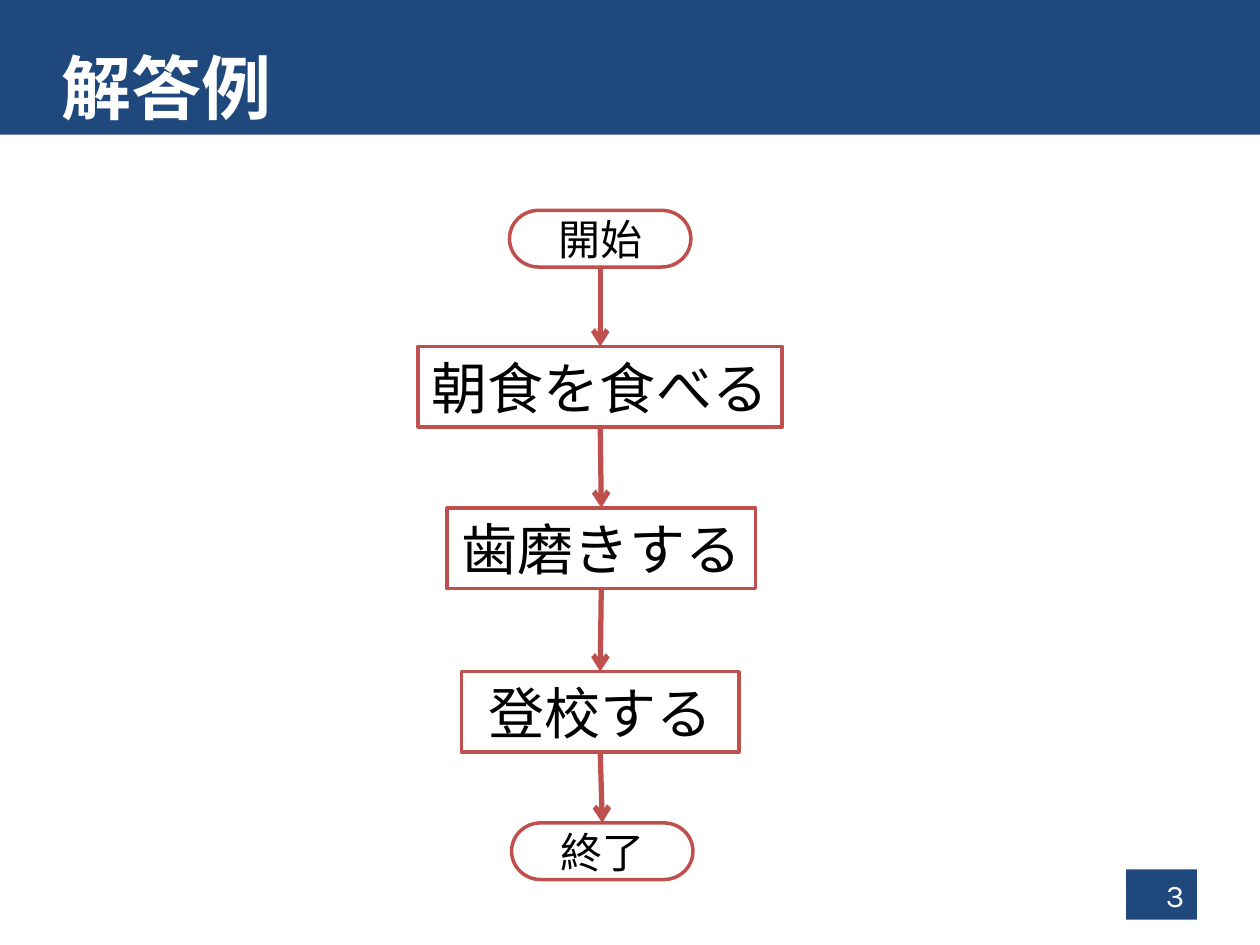
import pptx
import pptx.util
import pptx.dml.color
import pptx.enum.shapes
import pptx.enum.text
import pptx.oxml
import pptx.oxml.ns
from lxml import etree

Pt = pptx.util.Pt
Shape = pptx.enum.shapes.MSO_SHAPE
Align = pptx.enum.text.PP_ALIGN
Anchor = pptx.enum.text.MSO_ANCHOR
COLORS = {"navy": "1F497D", "red": "C0504D", "white": "FFFFFF", "black": "000000"}
FONT = "Karla"
BOTTOM, TOP = 2, 0


def color(name):
    """Return the named colour."""
    return pptx.dml.color.RGBColor.from_string(COLORS[name])


def add_box(page, kind, box, text, size, fill, ink, align, anchor=Anchor.MIDDLE, line=None):
    """Add a filled shape with one line of text."""
    shape = page.shapes.add_shape(kind, *map(Pt, box))
    shape.shadow.inherit = False
    shape.fill.solid()
    shape.fill.fore_color.rgb = color(fill)
    if line:
        shape.line.color.rgb = color(line)
        shape.line.width = Pt(2)
    else:
        shape.line.fill.background()
    frame = shape.text_frame
    frame.text = text
    frame.vertical_anchor = anchor
    para = frame.paragraphs[0]
    para.alignment = align
    font = para.runs[0].font
    font.name = FONT
    font.size = Pt(size)
    font.color.rgb = color(ink)
    return shape


def add_title(page, box, text):
    """Add the title band across the top."""
    band = add_box(page, Shape.RECTANGLE, box, text, 40, "navy", "white",
                   Align.LEFT, Anchor.BOTTOM)
    para = band.text_frame.paragraphs[0]
    para._p.get_or_add_pPr().set("marL", str(Pt(28)))
    para.runs[0].font.bold = True


def add_page_number(page, box, text):
    """Add the page number block."""
    add_box(page, Shape.RECTANGLE, box, text, 18, "navy", "white", Align.RIGHT)


def add_arrow(page, upper, lower):
    """Join the bottom of one step to the top of the next."""
    arrow = page.shapes.add_connector(pptx.enum.shapes.MSO_CONNECTOR.STRAIGHT, 0, 0, 0, 0)
    arrow.begin_connect(upper, BOTTOM)
    arrow.end_connect(lower, TOP)
    arrow.line.color.rgb = color("red")
    arrow.line.width = Pt(3)
    name = pptx.oxml.ns.qn
    etree.SubElement(arrow.line._get_or_add_ln(), name("a:tailEnd"), type="arrow")
    etree.SubElement(arrow._element.spPr, name("a:effectLst"))


def add_flowchart(page, box, steps):
    """Add the steps down the box's centre line and join them."""
    left, top, width, height = box
    shapes = []
    for kind, text, offset, shift, step_width in steps:
        terminal = kind == Shape.FLOWCHART_TERMINATOR
        place = (left + (width - step_width) / 2 + shift, top + offset,
                 step_width, 32.4 if terminal else 46)
        shape = add_box(page, kind, place, text, 24 if terminal else 32,
                        "white", "black", Align.CENTER, line="red")
        shape.text_frame.word_wrap = False
        shapes.append(shape)
    for upper, lower in zip(shapes, shapes[1:]):
        add_arrow(page, upper, lower)


def main():
    """Build and save the slide."""
    deck = pptx.Presentation()
    deck.slide_width, deck.slide_height = Pt(720), Pt(540)
    page = deck.slides.add_slide(deck.slide_layouts[6])
    add_title(page, (0, 0, 720, 77), "解答例")
    add_page_number(page, (643.5, 496.8, 40.5, 28.8), "3")
    terminal, process = Shape.FLOWCHART_TERMINATOR, Shape.FLOWCHART_PROCESS
    add_flowchart(page, (239, 120.2, 208, 382.4), [
        (terminal, "開始", 0, 0, 103.7),
        (process, "朝食を食べる", 77.8, 0, 208),
        (process, "歯磨きする", 170, 0.6, 176.4),
        (process, "登校する", 263.6, 0, 158.4),
        (terminal, "終了", 350, 1.2, 103.7),
    ])
    deck.save("out.pptx")


if __name__ == "__main__":
    main()
